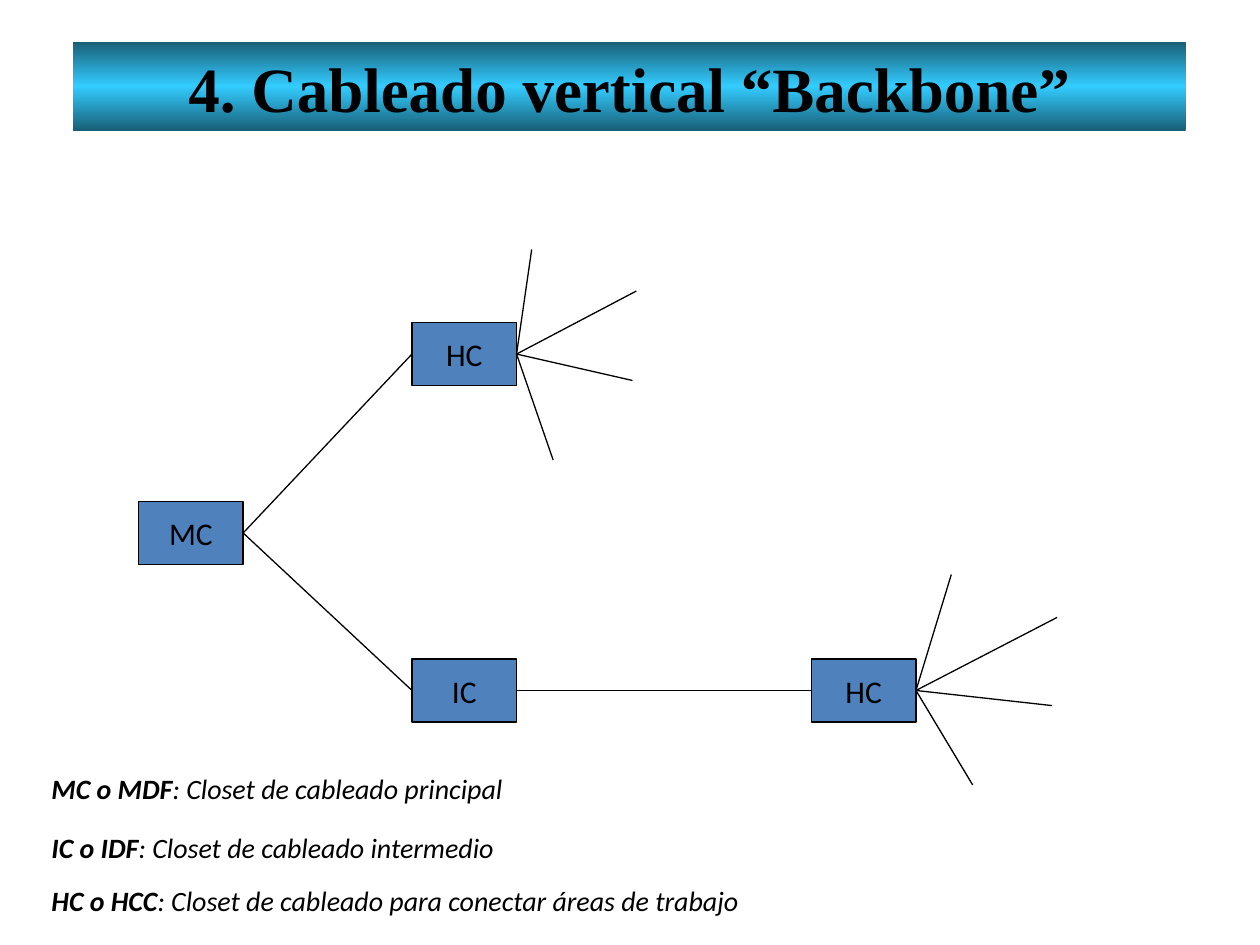
from lxml.etree import SubElement
from pptx import Presentation
from pptx.dml.color import RGBColor
from pptx.enum.shapes import MSO_CONNECTOR, MSO_SHAPE
from pptx.enum.text import MSO_ANCHOR, MSO_AUTO_SIZE, PP_ALIGN
from pptx.oxml.ns import qn
from pptx.util import Inches, Pt

THEME = {
    "ink": "000000", "node": "4F81BD", "band_edge": "185E76", "band_mid": "33CCFF",
    "title_font": "Times New Roman", "body_font": "Calibri",
    "title_size": 36, "node_size": 18, "legend_size": 16, "line": 0.75,
}
TITLE = "4. Cableado vertical “Backbone”"
NODE_W, NODE_H = 0.83, 0.5
# name: label, left, top, ends of the outgoing cables
NODES = {
    "main": ("MC", 1.1, 3.98, []),
    "intermediate": ("IC", 3.27, 5.23, []),
    "upper": ("HC", 3.27, 2.56, [(4.22, 1.98), (5.05, 2.31), (5.02, 3.02), (4.39, 3.65)]),
    "lower": ("HC", 6.44, 5.23, [(7.55, 4.56), (8.39, 4.9), (8.35, 5.6), (7.72, 6.23)]),
}
LINKS = [("intermediate", "lower"), ("main", "upper"), ("main", "intermediate")]
# term, meaning, top, width, height
LEGEND = [
    ("MC o MDF", "Closet de cableado principal", 5.94, 4.61, 0.52),
    ("IC o IDF", "Closet de cableado intermedio", 6.41, 4.61, 0.47),
    ("HC o HCC", "Closet de cableado para conectar áreas de trabajo", 6.83, 6.02, 0.44),
]
LEGEND_LEFT = HANGING = 0.31


def color(name):
    return RGBColor.from_string(THEME[name])


def add_text(p, text, size, font="body_font", bold=False, italic=False):
    r = p.add_run()
    r.text = text
    r.font.name, r.font.size = THEME[font], Pt(THEME[size])
    r.font.bold, r.font.italic = bold, italic
    r.font.color.rgb = color("ink")


def fill_band(sp):
    """Vertical gradient, dark at both edges and bright in the middle."""
    sp.fill.gradient()
    sp.fill.gradient_angle = 90
    stops = sp._element.spPr.find(qn("a:gradFill")).find(qn("a:gsLst"))
    for stop in list(stops):
        stops.remove(stop)
    for pos, name in ((0, "band_edge"), (50, "band_mid"), (100, "band_edge")):
        stop = SubElement(stops, qn("a:gs"), pos=str(pos * 1000))
        SubElement(stop, qn("a:srgbClr"), val=THEME[name])


def add_title(slide):
    sp = slide.shapes.title
    sp.left, sp.top, sp.width, sp.height = map(Inches, (0.58, 0.33, 8.83, 0.71))
    fill_band(sp)
    tf = sp.text_frame
    tf.auto_size, tf.vertical_anchor = MSO_AUTO_SIZE.NONE, MSO_ANCHOR.BOTTOM
    p = tf.paragraphs[0]
    p.alignment = PP_ALIGN.CENTER
    add_text(p, TITLE, "title_size", font="title_font", bold=True)


def add_node(shapes, label, left, top):
    sp = shapes.add_shape(MSO_SHAPE.RECTANGLE, *map(Inches, (left, top, NODE_W, NODE_H)))
    sp.shadow.inherit = False
    sp.fill.solid()
    sp.fill.fore_color.rgb = color("node")
    sp.line.color.rgb, sp.line.width = color("ink"), Pt(THEME["line"])
    tf = sp.text_frame
    tf.word_wrap, tf.vertical_anchor = False, MSO_ANCHOR.MIDDLE
    p = tf.paragraphs[0]
    p.alignment = PP_ALIGN.CENTER
    add_text(p, label, "node_size")
    return sp


def add_cable(shapes, start, end):
    cable = shapes.add_connector(MSO_CONNECTOR.STRAIGHT, *map(Inches, (*start, *end)))
    cable.line.color.rgb, cable.line.width = color("ink"), Pt(THEME["line"])
    SubElement(cable._element.spPr, qn("a:effectLst"))
    return cable


def left_port(name):
    _, left, top, _ = NODES[name]
    return left, top + NODE_H / 2


def right_port(name):
    left, middle = left_port(name)
    return left + NODE_W, middle


def add_diagram(slide):
    boxes = {}
    for name, (label, left, top, ends) in NODES.items():
        shapes = slide.shapes.add_group_shape().shapes if ends else slide.shapes
        boxes[name] = add_node(shapes, label, left, top)
        for end in ends:
            add_cable(shapes, right_port(name), end)
    for source, target in LINKS:
        cable = add_cable(slide.shapes, right_port(source), left_port(target))
        cable.begin_connect(boxes[source], 3)
        cable.end_connect(boxes[target], 1)


def add_legend(slide):
    for term, meaning, top, width, height in LEGEND:
        box = slide.shapes.add_textbox(*map(Inches, (LEGEND_LEFT, top, width, height)))
        tf = box.text_frame
        tf.word_wrap = True
        p = tf.paragraphs[0]
        p.line_spacing = 1.5
        props = p._p.get_or_add_pPr()
        props.set("marL", str(Inches(HANGING)))
        props.set("indent", str(-Inches(HANGING)))
        add_text(p, term, "legend_size", bold=True, italic=True)
        add_text(p, ": " + meaning, "legend_size", italic=True)


def main():
    prs = Presentation()
    prs.slide_width, prs.slide_height = Inches(10), Inches(7.5)
    slide = prs.slides.add_slide(prs.slide_layouts[5])
    add_title(slide)
    add_diagram(slide)
    add_legend(slide)
    prs.save("out.pptx")


if __name__ == "__main__":
    main()
